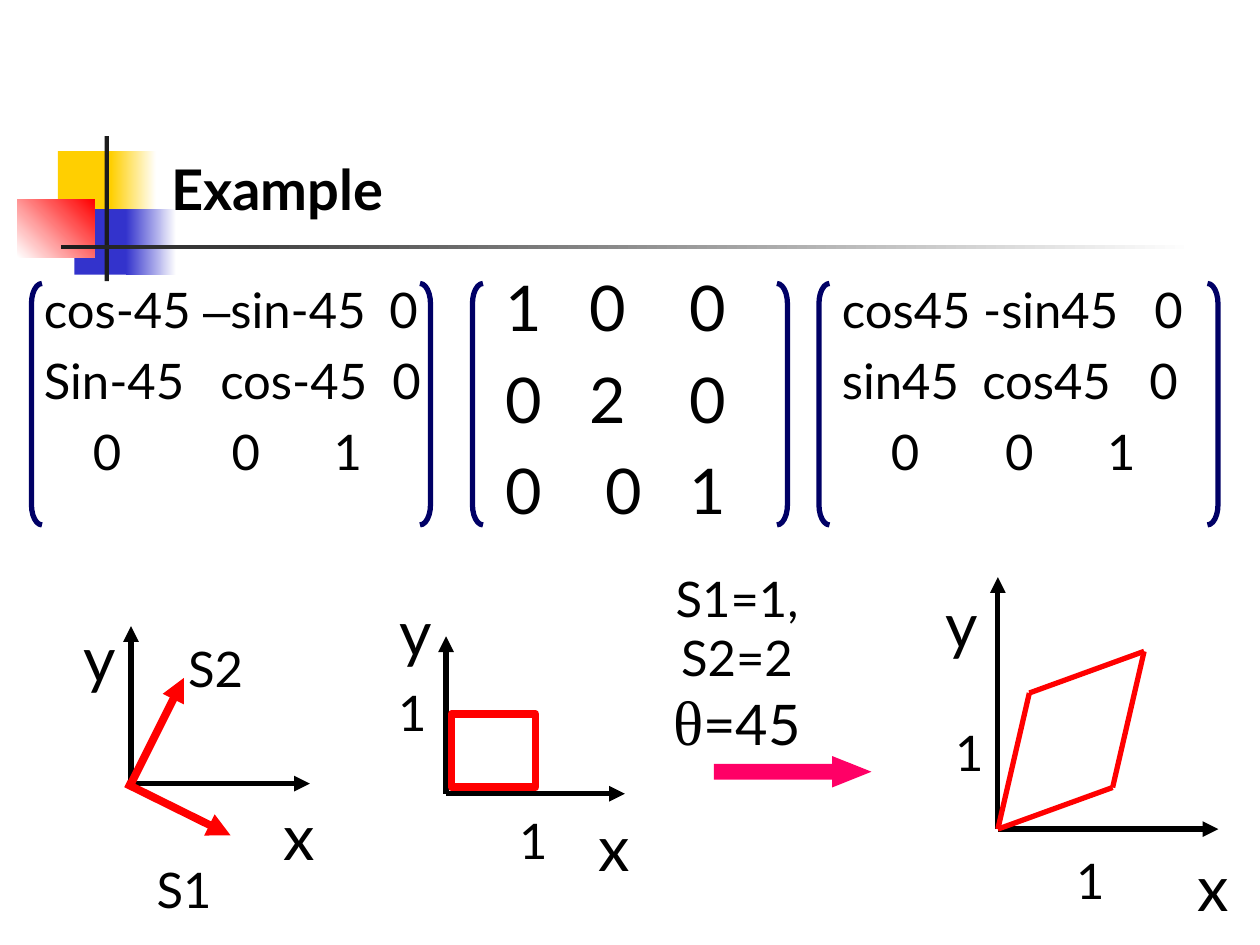
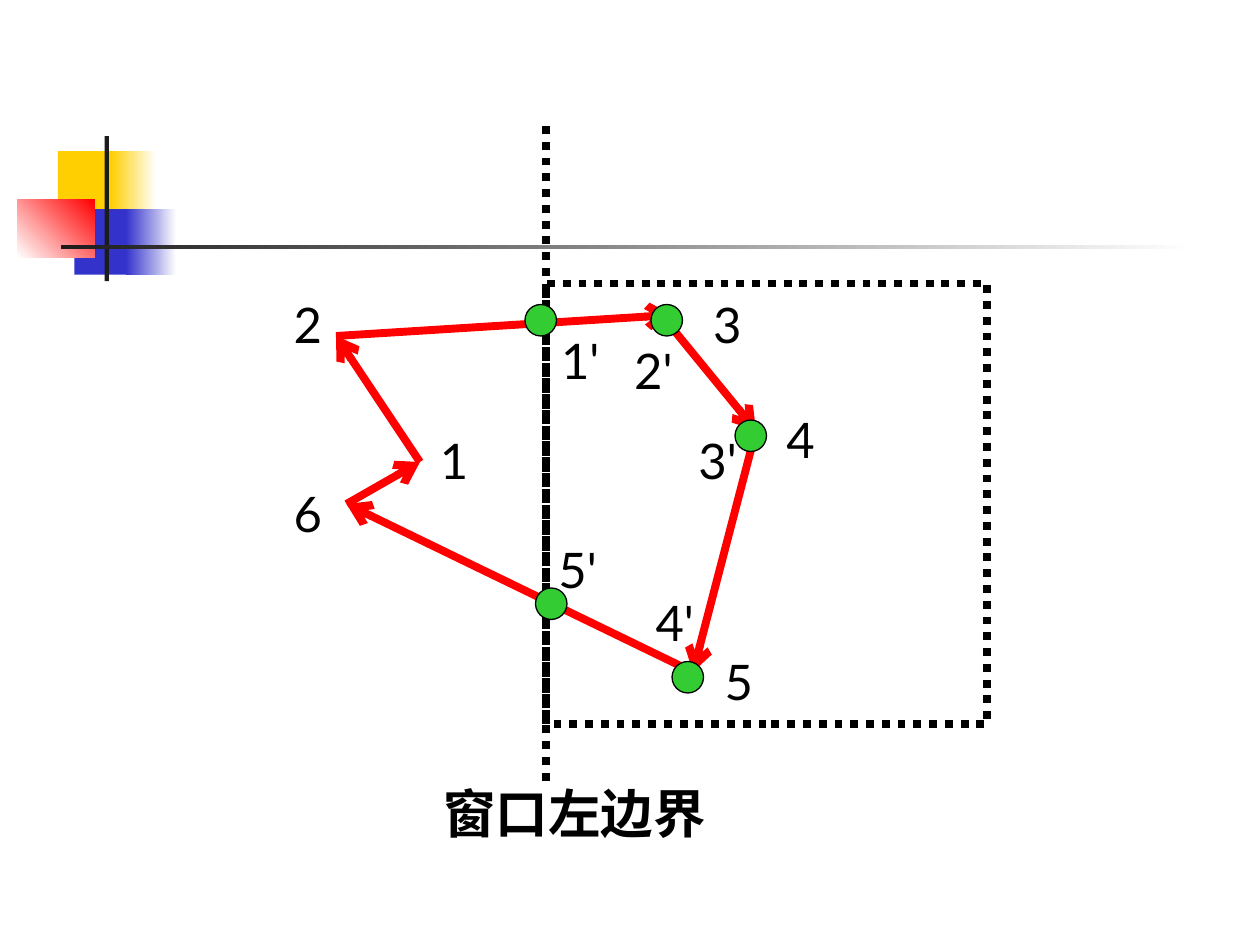
"""Build two slides: a directional scaling example and polygon clipping at a window edge."""
import pptx
import pptx.dml.color
import pptx.enum.dml
import pptx.enum.shapes
import pptx.enum.text
import pptx.oxml.ns
import pptx.util
from lxml import etree

Pt = pptx.util.Pt
KIND = pptx.enum.shapes.MSO_SHAPE
ANCHOR = pptx.enum.text.MSO_ANCHOR
ALIGN = pptx.enum.text.PP_ALIGN
DOTTED = pptx.enum.dml.MSO_LINE.ROUND_DOT
qn = pptx.oxml.ns.qn
FONT = "Lato"
COLORS = {
    "black": "000000", "white": "FFFFFF", "yellow": "FFCF01", "blue": "3333CC",
    "red": "FF0000", "charcoal": "1C1C1C", "navy": "000066", "pink": "FF0066",
    "green": "33CC33",
}
RGB = {name: pptx.dml.color.RGBColor.from_string(code) for name, code in COLORS.items()}


def add_shape(page, kind, box, fill=None, line=None, width=0.75):
    """Add a shape; a fill of (start, end, angle) is a gradient."""
    shape = page.shapes.add_shape(kind, *map(Pt, box))
    shape.shadow.inherit = False
    if fill is None:
        shape.fill.background()
    elif isinstance(fill, tuple):
        shape.fill.gradient()
        shape.fill.gradient_angle = fill[2]
        for stop, color in zip(shape.fill.gradient_stops, fill):
            stop.color.rgb = RGB[color]
    else:
        shape.fill.solid()
        shape.fill.fore_color.rgb = RGB[fill]
    if line is None:
        shape.line.fill.background()
    else:
        shape.line.color.rgb = RGB[line]
        shape.line.width = Pt(width)
    return shape


def add_text(page, box, paragraphs, size, inset=True, wrap=True, bold=False,
             align=ALIGN.LEFT, anchor=ANCHOR.TOP, space=0, tabs=()):
    """Add a text box; a run is its text, or (text, font, size)."""
    frame = page.shapes.add_textbox(*map(Pt, box)).text_frame
    frame.word_wrap = wrap
    frame.vertical_anchor = anchor
    frame.margin_left = frame.margin_right = Pt(7.2 if inset else 0)
    frame.margin_top = frame.margin_bottom = Pt(3.6 if inset else 0)
    for index, runs in enumerate(paragraphs):
        para = frame.add_paragraph() if index else frame.paragraphs[0]
        para.alignment = align
        para.space_before = Pt(space if index else 0)
        if tabs:
            stops = etree.SubElement(para._p.get_or_add_pPr(), qn("a:tabLst"))
            for position in tabs[index]:
                etree.SubElement(stops, qn("a:tab"), pos=str(Pt(position)), algn="l")
        for run in runs:
            text, font, run_size = run if isinstance(run, tuple) else (run, FONT, size)
            span = para.add_run()
            span.text = text
            span.font.name = font
            span.font.size = Pt(run_size)
            span.font.bold = bold
            span.font.color.rgb = RGB["black"]
    return frame


deck = pptx.Presentation()
deck.slide_width, deck.slide_height = Pt(720), Pt(540)
example, clipping = [deck.slides.add_slide(deck.slide_layouts[6]) for _ in range(2)]

decorations = [
    ((33.1, 86.4, 34.6, 37.4), "yellow"),
    ((63.4, 86.4, 25.9, 37.4), ("yellow", "white", 0)),
    ((42.5, 119.5, 33.1, 37.4), "blue"),
    ((72, 119.5, 28.8, 37.4), ("blue", "white", 0)),
    ((10, 113.8, 44, 33.1), ("white", "red", 45)),
    ((59.8, 77.8, 2.5, 82.8), "charcoal"),
    ((34.6, 140.1, 648, 2.5), ("charcoal", "white", 0)),
]
for page in (example, clipping):
    for box, fill in decorations:
        add_shape(page, KIND.RECTANGLE, box, fill)

lines = []
axes = [
    ((74.9, 447.8), 357.8, 177.1),
    ((254.9, 453.6), 363.6, 357.1),
    ((570.2, 473.8), 329.8, 696.2),
]
for origin, top, right in axes:
    lines.append((example, origin, (origin[0], top), "black", 3, "triangle", None))
    lines.append((example, origin, (right, origin[1]), "black", 3, "triangle", None))

for start, end in [((74.9, 447.8), (105.1, 387.4)), ((72, 447.8), (131.8, 477.4))]:
    lines.append((example, start, end, "red", 4.5, "triangle", None))

rhombus = [(570.2, 473.8), (588.2, 396), (653.8, 372.2), (635.8, 450)]
for start, end in zip(rhombus, rhombus[1:] + rhombus[:1]):
    lines.append((example, start, end, "red", 3, None, None))

polygon_edges = [
    ((240, 264), (192, 192)), ((192, 192), (384, 180)), ((378, 180), (432, 246)),
    ((432, 246), (396, 384)), ((396, 384), (198, 288)), ((198, 288), (240, 264)),
]
for start, end in polygon_edges:
    lines.append((clipping, start, end, "red", 4.5, "arrow", None))
lines.append((clipping, (312, 72), (312, 450), "black", 4.5, None, DOTTED))

for page, start, end, color, width, arrow, dash in lines:
    connector = page.shapes.add_connector(
        pptx.enum.shapes.MSO_CONNECTOR.STRAIGHT, *map(Pt, start + end))
    connector.line.color.rgb = RGB[color]
    connector.line.width = Pt(width)
    if dash:
        connector.line.dash_style = dash
    if arrow:
        etree.SubElement(connector.line._get_or_add_ln(), qn("a:tailEnd"), type=arrow)
    etree.SubElement(connector._element.spPr, qn("a:effectLst"))

add_text(example, (90.7, 17, 613, 113), [["Example"]], 32, bold=True, anchor=ANCHOR.BOTTOM)

matrices = [
    ((18, 156, 234, 156), 28, 7,
     [["cos-45 ", ("–", "Arial", 28), "sin-45\t0"], ["Sin-45\tcos-45\t0"], ["\t0\t0\t1"]],
     [[197.4], [100.8, 199.1], [28, 107.2, 165.5]]),
    ((264, 150, 186, 156), 36, 9,
     [["\t1\t0\t0"], ["\t0\t2\t0"], ["\t0\t0\t1"]],
     [[18, 65.9, 122.8], [18, 65.9, 122.8], [18, 74.9, 122.8]]),
    ((474, 156, 228, 156), 28, 7,
     [["cos45 -sin45\t0"], ["sin45\tcos45\t0"], ["\t0\t0\t1"]],
     [[178.5], [80.2, 175.7], [28, 93.2, 151.5]]),
]
for box, size, space, rows, tabs in matrices:
    add_text(example, box, rows, size, space=space, tabs=tabs)

for left, right in [(18, 240), (270, 444), (468, 690)]:
    for kind, x in [(KIND.LEFT_BRACKET, left), (KIND.RIGHT_BRACKET, right)]:
        bracket = add_shape(example, kind, (x, 162, 6, 138), line="navy", width=3)
        bracket.adjustments[0] = 1.92

add_shape(example, KIND.RECTANGLE, (258, 408, 48, 42), line="red", width=4.5)
arrow = add_shape(example, KIND.RIGHT_ARROW, (408, 432, 90, 18), "pink")
arrow.adjustments[0], arrow.adjustments[1] = 0.5, 1.25

parameters = add_text(
    example, (350.6, 341.3, 141.1, 71.3),
    [["S1=1, S2=2"], [("θ", "Times New Roman", 36), ("=45", FONT, 32)]], 28,
    inset=False, wrap=False, align=ALIGN.CENTER, anchor=ANCHOR.MIDDLE, space=20)
parameters.paragraphs[1].line_spacing = 0.4

window = add_shape(clipping, KIND.RECTANGLE, (312, 162, 252, 252), line="black", width=4.5)
window.line.dash_style = DOTTED
for left, top in [(300, 174), (372, 174), (420, 240), (384, 378), (306, 336)]:
    add_shape(clipping, KIND.OVAL, (left, top, 18, 18), "green", "black")

labels = [
    (example, "x", 161.3, 455.8, 19.4, 36), (example, "y", 47.5, 354.2, 18.7, 36),
    (example, "S2", 107.3, 365, 31.7, 28), (example, "S1", 89.3, 491, 31.7, 28),
    (example, "x", 341.3, 462.2, 19.4, 36), (example, "y", 228.2, 339.1, 18, 36),
    (example, "1", 296.6, 463, 15.8, 28), (example, "1", 227.5, 390.2, 15.8, 28),
    (example, "x", 684, 484.6, 18, 36), (example, "y", 540, 334.8, 18, 36),
    (example, "1", 614.9, 486, 15.1, 28), (example, "1", 545.8, 412.6, 15.1, 28),
    (clipping, "1", 251.3, 246.2, 15.8, 28), (clipping, "2", 167.8, 168, 15.8, 28),
    (clipping, "3", 407.5, 168, 15.8, 28), (clipping, "4", 449.3, 234, 15.8, 28),
    (clipping, "5", 414, 372.2, 15.1, 28), (clipping, "6", 167.8, 276, 15.8, 28),
    (clipping, "1'", 320.4, 188.6, 22.3, 28), (clipping, "2'", 362.2, 194.4, 22.3, 28),
    (clipping, "3'", 398.9, 246.2, 22.3, 28), (clipping, "4'", 374.4, 338.4, 22.3, 28),
    (clipping, "5'", 318.2, 308.2, 23.8, 28),
]
for page, text, left, top, width, size in labels:
    add_text(page, (left, top, width, 1.2 * size), [[text]], size, inset=False,
             wrap=False, align=ALIGN.CENTER, anchor=ANCHOR.MIDDLE)

add_text(clipping, (246.2, 442.8, 164.2, 43.2), [["窗口左边界"]], 30, wrap=False, bold=True)

deck.save("out.pptx")
